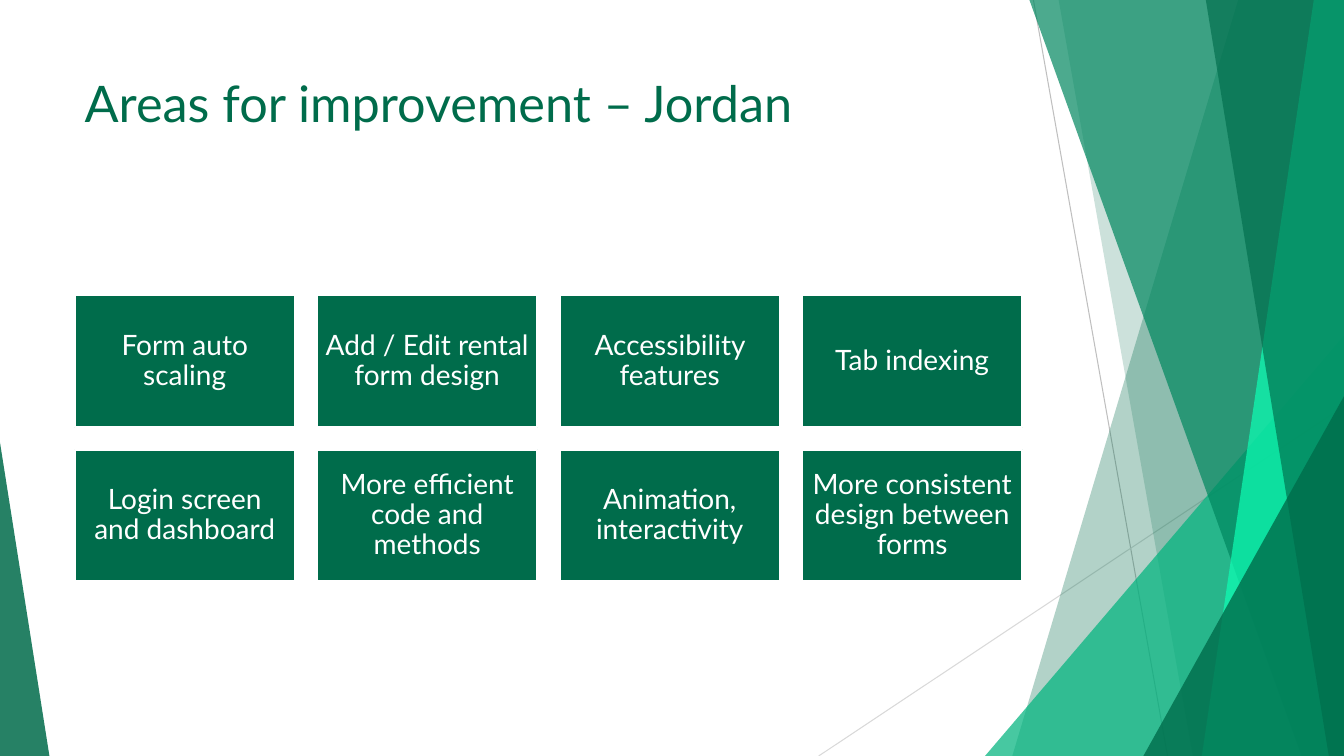
from dataclasses import dataclass

from lxml.etree import SubElement
from pptx import Presentation
from pptx.dml.color import RGBColor
from pptx.enum.shapes import MSO_CONNECTOR, MSO_SHAPE
from pptx.enum.text import MSO_ANCHOR, PP_ALIGN
from pptx.oxml.ns import qn
from pptx.util import Inches, Pt


@dataclass(frozen=True)
class Theme:
    font: str = "Lato"
    dark: str = "006C4B"
    mid: str = "00875F"
    light: str = "00B47E"
    neon: str = "0EFFB5"
    white: str = "FFFFFF"
    gray: str = "BFBFBF"
    pale: str = "D9D9D9"
    title: int = 36
    body: int = 20


THEME = Theme()
WIDTH, HEIGHT = 13.33, 7.5
AREAS = [
    ["Form auto scaling", "Add / Edit rental form design",
     "Accessibility features", "Tab indexing"],
    ["Login screen and dashboard", "More efficient code and methods",
     "Animation, interactivity", "More consistent design between forms"],
]


def paint(shape, color, alpha=100):
    """Fill a shape without an outline; alpha is opacity in percent."""
    shape.shadow.inherit = False
    shape.fill.solid()
    shape.fill.fore_color.rgb = RGBColor.from_string(color)
    shape.line.fill.background()
    if alpha < 100:
        tint = shape.fill._xPr.find(".//" + qn("a:srgbClr"))
        SubElement(tint, qn("a:alpha"), val=str(alpha * 1000))


def style(para, size, color):
    for run in para.runs:
        run.font.name = THEME.font
        run.font.size = Pt(size)
        run.font.color.rgb = RGBColor.from_string(color)


def add_line(slide, start, end, color):
    line = slide.shapes.add_connector(
        MSO_CONNECTOR.STRAIGHT, *map(Inches, start + end))
    line.line.color.rgb = RGBColor.from_string(color)
    line.line.width = Pt(0.75)
    SubElement(line._element.spPr, qn("a:effectLst"))


def add_band(slide, box, upper, lower, color, alpha):
    """Fill from a slanted edge to the right side; upper and lower are its
    distances from that side at the top and bottom."""
    left, top, width, height = box
    right, base = left + width, top + height
    points = [(right - upper, top), (right, top), (right, base), (right - lower, base)]
    points = [(Inches(x), Inches(y)) for x, y in points]
    pen = slide.shapes.build_freeform(*points[0])
    pen.add_line_segments(points[1:])
    paint(pen.convert_to_shape(), color, alpha)


def add_wedge(slide, box, tip, color, alpha):
    wedge = slide.shapes.add_shape(MSO_SHAPE.ISOSCELES_TRIANGLE, *map(Inches, box))
    wedge.adjustments[0] = tip
    paint(wedge, color, alpha)


def add_facets(slide, box):
    """Layer the lines, bands and wedges against the right side of the box."""
    left, top, width, height = box
    right, base = left + width, top + height

    def corner(wide, high, color, alpha):
        add_wedge(slide, (right - wide, base - high, wide, high), 1, color, alpha)

    add_line(slide, (right - 3.08, top), (right - 1.75, base), THEME.gray)
    add_line(slide, (right, top + 4.03), (left, base), THEME.pale)
    add_band(slide, box, 1.05, 3.29, THEME.dark, 30)
    add_band(slide, box, 2.83, 1.5, THEME.dark, 20)
    corner(3.56, 4.17, THEME.light, 72)
    add_band(slide, box, 3.12, 0.42, THEME.mid, 70)
    add_band(slide, box, 0.3, 1.41, THEME.neon, 70)
    add_band(slide, box, 1.37, 0.15, THEME.dark, 65)
    corner(1.99, 3.57, THEME.dark, 80)


def add_title(slide, box, text):
    title = slide.shapes.title
    title.left, title.top, title.width, title.height = map(Inches, box)
    frame = title.text_frame
    frame.text = text
    frame.word_wrap = True
    frame.vertical_anchor = MSO_ANCHOR.TOP
    para = frame.paragraphs[0]
    para.alignment = PP_ALIGN.LEFT
    style(para, THEME.title, THEME.dark)


def add_card(slide, box, text):
    card = slide.shapes.add_shape(MSO_SHAPE.RECTANGLE, *map(Inches, box))
    paint(card, THEME.dark)
    card.line.color.rgb = RGBColor.from_string(THEME.white)
    card.line.width = Pt(1.5)
    frame = card.text_frame
    frame.text = text
    frame.word_wrap = True
    frame.vertical_anchor = MSO_ANCHOR.MIDDLE
    frame.margin_left = frame.margin_right = Inches(0.08)
    frame.margin_top = frame.margin_bottom = Inches(0.08)
    para = frame.paragraphs[0]
    para.alignment = PP_ALIGN.CENTER
    para.line_spacing = 0.9
    style(para, THEME.body, THEME.white)


def add_grid(slide, box, rows, gap):
    left, top, width, height = box
    wide = (width - gap * (len(rows[0]) - 1)) / len(rows[0])
    high = (height - gap * (len(rows) - 1)) / len(rows)
    for i, row in enumerate(rows):
        for j, text in enumerate(row):
            place = (left + j * (wide + gap), top + i * (high + gap), wide, high)
            add_card(slide, place, text)


def main():
    deck = Presentation()
    deck.slide_width, deck.slide_height = Inches(WIDTH), Inches(HEIGHT)
    slide = deck.slides.add_slide(deck.slide_layouts.get_by_name("Title Only"))
    add_facets(slide, (8.12, 0, 5.21, HEIGHT))
    add_wedge(slide, (0, 4.39, 0.49, 3.11), 0, THEME.dark, 85)
    add_title(slide, (0.74, 0.67, 9.4, 1.44), "Areas for improvement – Jordan")
    add_grid(slide, (0.74, 2.93, 9.4, 2.84), AREAS, 0.22)
    deck.save("out.pptx")


if __name__ == "__main__":
    main()
